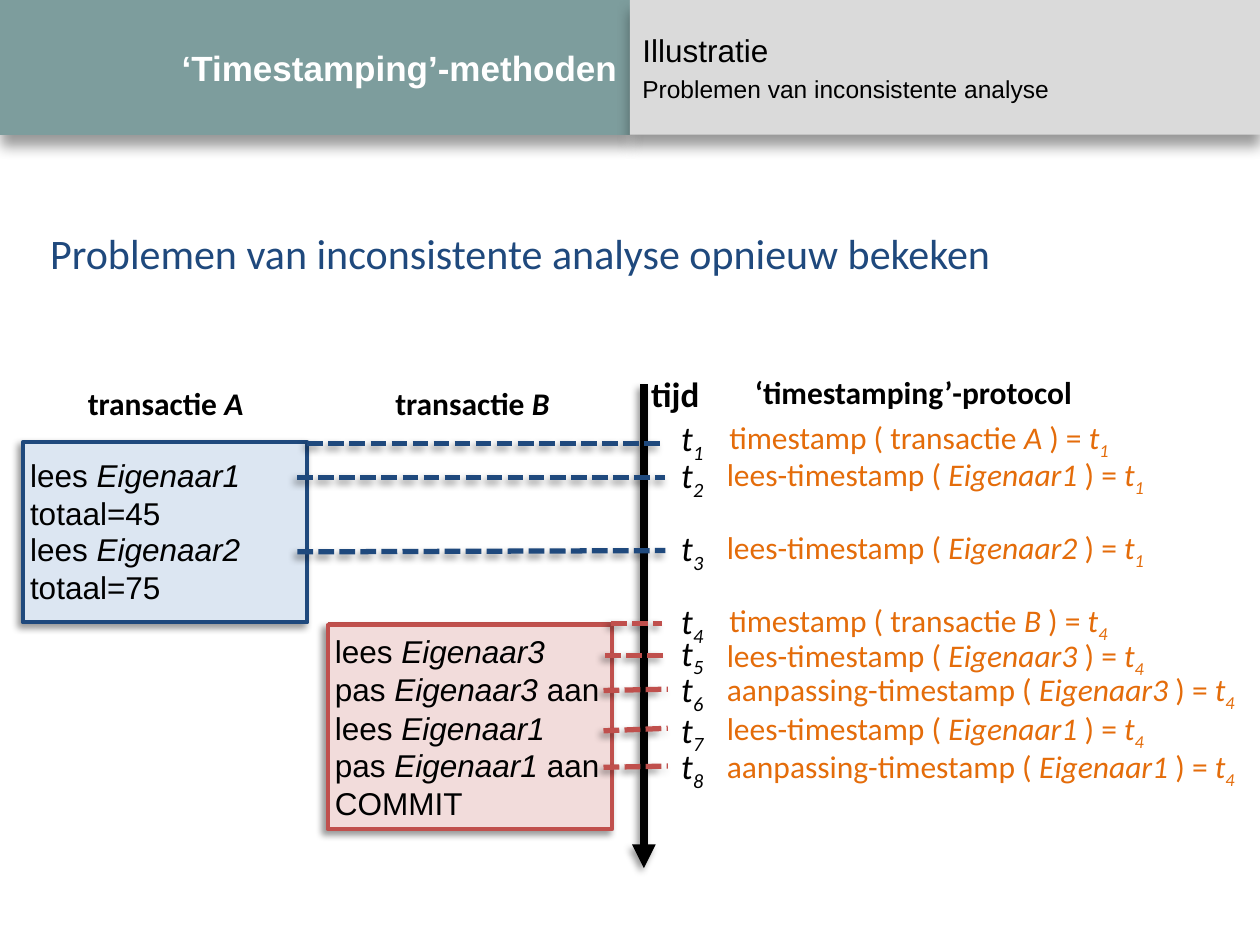
from lxml import etree
from pptx import Presentation
from pptx.dml.color import RGBColor
from pptx.enum.dml import MSO_LINE
from pptx.enum.shapes import MSO_CONNECTOR, MSO_SHAPE
from pptx.enum.text import MSO_ANCHOR, MSO_AUTO_SIZE, PP_ALIGN
from pptx.oxml import parse_xml
from pptx.oxml.ns import nsdecls, qn
from pptx.util import Inches, Pt

BLACK, BLUE, RED, ORANGE = "000000", "1F497D", "C0504D", "E46C0A"

# protocol top, label top, line start (x, y), line end (x, y), colour, protocol text
EVENTS = [
    (3.27, 3.26, (2.44, 3.52), (5.27, 3.52), BLUE, "timestamp ( transactie *A* ) = *t_1*"),
    (3.56, 3.55, (2.36, 3.79), (5.28, 3.79), BLUE, "lees-timestamp ( *Eigenaar1* ) = *t_1*"),
    (4.14, 4.13, (2.36, 4.38), (5.28, 4.37), BLUE, "lees-timestamp ( *Eigenaar2* ) = *t_1*"),
    (4.72, 4.71, (4.85, 4.95), (5.25, 4.95), RED, "timestamp ( transactie *B* ) = *t_4*"),
    (5.0, 4.96, (4.8, 5.2), (5.28, 5.2), RED, "lees-timestamp ( *Eigenaar3* ) = *t_4*"),
    (5.27, 5.25, (4.79, 5.48), (5.3, 5.47), RED, "aanpassing-timestamp ( *Eigenaar3* ) = *t_4*"),
    (5.58, 5.57, (4.79, 5.8), (5.3, 5.78), RED, "lees-timestamp ( *Eigenaar1* ) = *t_4*"),
    (5.88, 5.86, (4.79, 6.09), (5.3, 6.08), RED, "aanpassing-timestamp ( *Eigenaar1* ) = *t_4*"),
]


def rgb(value):
    return RGBColor.from_string(value)


def set_shadow(sp, blur=4, dist=3, angle=135):
    """Give a finished shape or line an outer shadow; a blur of 0 means none."""
    effects = parse_xml(f"<a:effectLst {nsdecls('a')}/>")
    if blur:
        outer = etree.SubElement(effects, qn("a:outerShdw"), blurRad=str(Pt(blur)),
                                 dist=str(Pt(dist)), dir=str(angle * 60000), rotWithShape="0")
        color = etree.SubElement(outer, qn("a:srgbClr"), val=BLACK)
        etree.SubElement(color, qn("a:alpha"), val="40000")
    sp._element.spPr.append(effects)


def add_runs(p, text, size, font, color, bold=False):
    """Add runs: *...* is italic, and what follows _ is subscript."""
    for i, part in enumerate(text.split("*")):
        main, _, sub = part.partition("_")
        for piece, is_sub in ((main, False), (sub, True)):
            if not piece:
                continue
            r = p.add_run()
            r.text = piece
            r.font.size, r.font.name = Pt(size), font
            r.font.bold, r.font.italic = bold, i % 2 == 1
            r.font.color.rgb = rgb(color)
            if is_sub:
                r.font._element.set("baseline", "-25000")


def add_text(s, x, y, w, h, lines, size=18, font="Calibri", color=BLACK,
             bold=False, align=PP_ALIGN.LEFT):
    tf = s.shapes.add_textbox(Inches(x), Inches(y), Inches(w), Inches(h)).text_frame
    tf.word_wrap = False
    tf.auto_size = MSO_AUTO_SIZE.SHAPE_TO_FIT_TEXT
    for i, line in enumerate(lines):
        p = tf.add_paragraph() if i else tf.paragraphs[0]
        p.alignment = align
        add_runs(p, line, size, font, color, bold)


def add_line(s, start, end, color, width=3, dashed=False, shadow=True, arrow=False):
    line = s.shapes.add_connector(MSO_CONNECTOR.STRAIGHT, *map(Inches, start + end))
    line.line.color.rgb = rgb(color)
    line.line.width = Pt(width)
    if dashed:
        line.line.dash_style = MSO_LINE.SQUARE_DOT
        line.line._ln.find(qn("a:prstDash")).set("val", "sysDash")
    if arrow:
        etree.SubElement(line.line._ln, qn("a:tailEnd"), type="triangle")
    set_shadow(line, 4 if shadow else 0)


def add_box(s, x, y, w, h, fill, border=None):
    sp = s.shapes.add_shape(MSO_SHAPE.RECTANGLE, *map(Inches, (x, y, w, h)))
    sp.fill.solid()
    sp.fill.fore_color.rgb = rgb(fill)
    if border:
        sp.line.color.rgb = rgb(border)
        sp.line.width = Pt(2.25)
    else:
        sp.line.fill.background()
    return sp


def header(s, x, y, w, h):
    half = w / 2
    title = s.shapes.title
    title.left, title.top, title.width, title.height = map(Inches, (x, y, half, h))
    title.fill.solid()
    title.fill.fore_color.rgb = rgb("7D9D9D")
    tf = title.text_frame
    tf.vertical_anchor = MSO_ANCHOR.MIDDLE
    tf.paragraphs[0].alignment = PP_ALIGN.RIGHT
    add_runs(tf.paragraphs[0], "‘Timestamping’-methoden", 20, "Arial", "FFFFFF", True)
    set_shadow(title, 8, 6, 90)

    panel = add_box(s, x + half, y, half, h, "DADADA")
    set_shadow(panel, 8, 6, 90)
    tf = panel.text_frame
    tf.word_wrap = True
    tf.vertical_anchor = MSO_ANCHOR.MIDDLE
    p = tf.paragraphs[0]
    p.alignment = PP_ALIGN.LEFT
    add_runs(p, "Illustratie", 18, "Arial", BLACK)
    p = tf.add_paragraph()
    p.alignment = PP_ALIGN.LEFT
    p.space_before = Pt(2.8)
    add_runs(p, "Problemen van inconsistente analyse", 14, "Arial", BLACK)


def transaction(s, x, y, w, h, fill, border, edge, steps):
    """Draw a transaction box; steps hold the offset and lines of each text."""
    add_line(s, (x, y), (x + w, y), edge, shadow=False)
    set_shadow(add_box(s, x, y, w, h, fill, border))
    for dy, lines in steps:
        height = 0.4 if len(lines) == 1 else 0.71
        add_text(s, x - 0.04, y + dy, w + 0.2, height, lines, font="Arial")


def timeline(s, x, top, bottom):
    add_line(s, (x, top), (x, bottom), BLACK, 4.5, arrow=True)
    for i, (text_y, label_y, start, end, color, text) in enumerate(EVENTS, 1):
        add_line(s, start, end, color, dashed=True)
        add_text(s, x + 0.18, label_y, 0.39, 0.44, [f"*t_{i}*"], 20, align=PP_ALIGN.RIGHT)
        left = x + (0.58 if text.startswith("timestamp") else 0.56)
        width = 4.3 if text.startswith("aanpassing") else 3.57
        add_text(s, left, text_y, width, 0.4, [text], color=ORANGE)


def column_heads(s, y):
    for x, dy, w, text in ((0.56, 0.09, 1.51, "transactie *A*"),
                           (3.03, 0.09, 1.44, "transactie *B*"),
                           (5.89, 0, 2.72, "‘timestamping’-protocol")):
        add_text(s, x, y + dy, w, 0.34, [text], bold=True, align=PP_ALIGN.CENTER)
    add_text(s, 5.07, y, 0.59, 0.37, ["tijd"], 20, bold=True)


def main():
    prs = Presentation()
    prs.slide_width, prs.slide_height = Inches(10), Inches(7.5)
    s = prs.slides.add_slide(prs.slide_layouts[5])
    header(s, 0, 0, 10, 1.07)
    add_text(s, 0.3, 1.76, 8.92, 0.64,
             ["Problemen van inconsistente analyse opnieuw bekeken"], 24, color=BLUE)
    column_heads(s, 2.91)
    transaction(s, 0.18, 3.51, 2.26, 1.43, "DCE6F2", BLUE, "17375E",
                [(0.06, ["lees *Eigenaar1*", "totaal=45"]),
                 (0.65, ["lees *Eigenaar2*", "totaal=75"])])
    transaction(s, 2.6, 4.96, 2.26, 1.62, "F2DCDB", RED, RED,
                [(0.01, ["lees *Eigenaar3*"]),
                 (0.31, ["pas *Eigenaar3* aan"]),
                 (0.62, ["lees *Eigenaar1*"]),
                 (0.91, ["pas *Eigenaar1* aan", "COMMIT"])])
    timeline(s, 5.11, 3.05, 6.89)
    prs.save("out.pptx")


if __name__ == "__main__":
    main()
